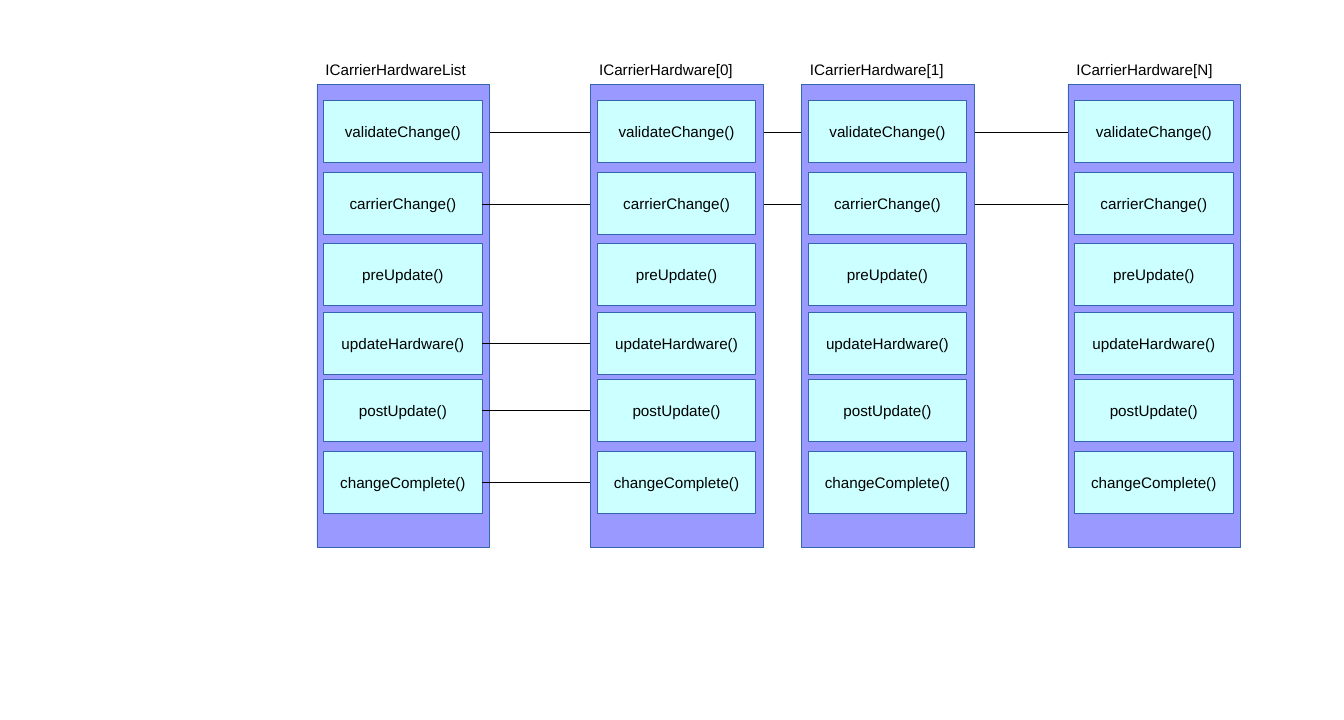
"""Draw how hardware list calls are passed on to each carrier hardware item."""
from dataclasses import dataclass

import lxml.etree
import pptx
import pptx.dml.color
import pptx.enum.shapes
import pptx.enum.text
import pptx.oxml.ns
import pptx.shapes.autoshape
import pptx.shapes.connector
import pptx.slide
import pptx.text.text
import pptx.util

Inches = pptx.util.Inches
COLORS = {"column": "9999FF", "method": "CCFFFF", "border": "3465AF", "ink": "000000"}
COLUMN_TOP, COLUMN_WIDTH, COLUMN_HEIGHT = 1.38, 2.83, 7.6
METHOD_INSET, METHOD_WIDTH, METHOD_HEIGHT = 0.11, 2.6, 1.02
METHOD_TOPS = {
    "validateChange()": 1.65,
    "carrierChange()": 2.83,
    "preUpdate()": 3.99,
    "updateHardware()": 5.12,
    "postUpdate()": 6.22,
    "changeComplete()": 7.4,
}


@dataclass(frozen=True)
class Column:
    title: str
    left: float


@dataclass(frozen=True)
class Call:
    method: str
    target: int


COLUMNS = [
    Column("ICarrierHardwareList", 5.2),
    Column("ICarrierHardware[0]", 9.69),
    Column("ICarrierHardware[1]", 13.15),
    Column("ICarrierHardware[N]", 17.52),
]
CALL_BEHIND = Call("validateChange()", 3)
CALLS_ABOVE = [
    Call("carrierChange()", 3),
    Call("updateHardware()", 1),
    Call("postUpdate()", 1),
    Call("changeComplete()", 1),
]


def rgb(role: str) -> pptx.dml.color.RGBColor:
    return pptx.dml.color.RGBColor.from_string(COLORS[role])


def write(frame: pptx.text.text.TextFrame, text: str) -> None:
    frame.word_wrap = True
    paragraph = frame.paragraphs[0]
    paragraph.text = text
    paragraph.font.name = "Arial"
    paragraph.font.size = pptx.util.Pt(18)
    paragraph.font.color.rgb = rgb("ink")


def draw_block(slide: pptx.slide.Slide, left: float, top: float, width: float,
               height: float, role: str) -> pptx.shapes.autoshape.Shape:
    block = slide.shapes.add_shape(
        pptx.enum.shapes.MSO_SHAPE.RECTANGLE,
        Inches(left), Inches(top), Inches(width), Inches(height))
    block.shadow.inherit = False
    block.fill.solid()
    block.fill.fore_color.rgb = rgb(role)
    block.line.color.rgb = rgb("border")
    block.line.width = pptx.util.Pt(0)
    return block


def draw_column(slide: pptx.slide.Slide,
                column: Column) -> dict[str, pptx.shapes.autoshape.Shape]:
    draw_block(slide, column.left, COLUMN_TOP, COLUMN_WIDTH, COLUMN_HEIGHT, "column")
    title = slide.shapes.add_textbox(
        Inches(column.left + 0.04), Inches(0.94), Inches(COLUMN_WIDTH), Inches(0.38))
    write(title.text_frame, column.title)
    methods = {}
    for name, top in METHOD_TOPS.items():
        method = draw_block(slide, column.left + METHOD_INSET, top,
                            METHOD_WIDTH, METHOD_HEIGHT, "method")
        write(method.text_frame, name)
        method.text_frame.vertical_anchor = pptx.enum.text.MSO_ANCHOR.MIDDLE
        method.text_frame.paragraphs[0].alignment = pptx.enum.text.PP_ALIGN.CENTER
        methods[name] = method
    return methods


def draw_call(slide: pptx.slide.Slide, call: Call) -> pptx.shapes.connector.Connector:
    start = Inches(COLUMNS[0].left + METHOD_INSET + METHOD_WIDTH)
    end = Inches(COLUMNS[call.target].left + METHOD_INSET)
    middle = Inches(METHOD_TOPS[call.method] + METHOD_HEIGHT / 2)
    arrow = slide.shapes.add_connector(
        pptx.enum.shapes.MSO_CONNECTOR.STRAIGHT, start, middle, end, middle)
    arrow.line.color.rgb = rgb("ink")
    arrow.line.width = pptx.util.Pt(0.25)
    qn = pptx.oxml.ns.qn
    properties = arrow._element.spPr
    lxml.etree.SubElement(properties.find(qn("a:ln")), qn("a:tailEnd"), type="triangle")
    lxml.etree.SubElement(properties, qn("a:effectLst"))
    return arrow


def main() -> None:
    deck = pptx.Presentation()
    deck.slide_width, deck.slide_height = Inches(22.05), Inches(11.81)
    slide = deck.slides.add_slide(deck.slide_layouts[6])
    arrows = [draw_call(slide, CALL_BEHIND)]
    methods = [draw_column(slide, COLUMNS[0])]
    arrows += [draw_call(slide, call) for call in CALLS_ABOVE]
    methods += [draw_column(slide, column) for column in COLUMNS[1:]]
    for arrow, call in zip(arrows, [CALL_BEHIND, *CALLS_ABOVE]):
        arrow.begin_connect(methods[0][call.method], 3)
        arrow.end_connect(methods[call.target][call.method], 1)
    deck.save("out.pptx")


if __name__ == "__main__":
    main()
